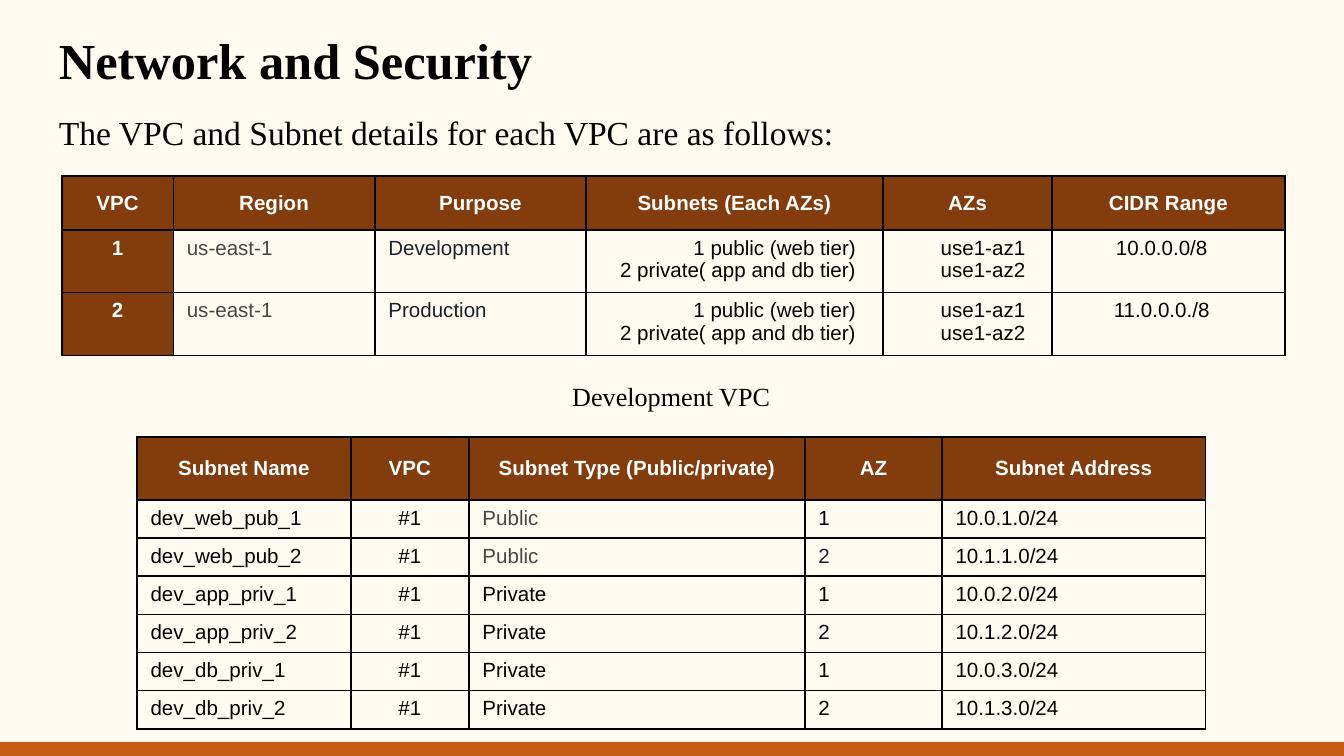
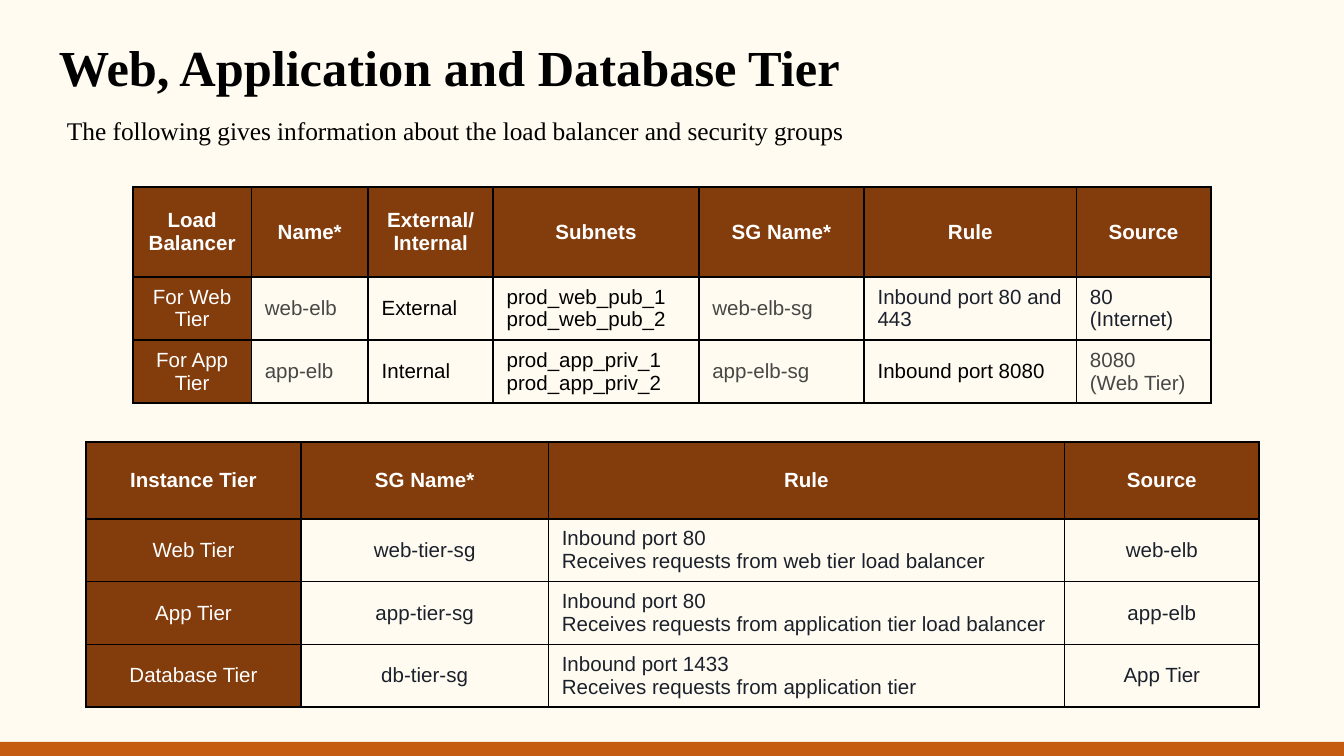
"""Build two slides that describe the network layout and the tiers of a deployment."""

from dataclasses import dataclass
from typing import NamedTuple

from lxml.etree import SubElement
from pptx import Presentation
from pptx.dml.color import RGBColor
from pptx.enum.shapes import MSO_SHAPE
from pptx.enum.text import MSO_ANCHOR, PP_ALIGN
from pptx.oxml import parse_xml
from pptx.oxml.ns import nsdecls, qn
from pptx.util import Emu, Pt

EMU_PER_PX = 9144
SLIDE_WIDTH = 1000
BAND_TOP, BAND_HEIGHT = 552, 11
TEXT_INSET = 10
CELL_INSET_X, CELL_INSET_Y = 10, 5
BORDER_POINTS = 1
CELL_POINTS = 11

CREAM, BROWN, ORANGE = "FFFBF0", "833C0B", "C55A11"
BLACK, WHITE, GRAY, NAVY = "000000", "FFFFFF", "474746", "1B212C"
TITLE_FONT, CELL_FONT = "Times New Roman", "Arial"
LEFT, CENTER, RIGHT = PP_ALIGN.LEFT, PP_ALIGN.CENTER, PP_ALIGN.RIGHT


class Box(NamedTuple):
    """Position and size in px."""

    left: int
    top: int
    width: int
    height: int


class Tinted(NamedTuple):
    """Cell text whose colour differs from that of its column."""

    text: str
    color: str


class Column(NamedTuple):
    """Heading, width and body style of one table column."""

    heading: str
    width: int
    color: str = BLACK
    align: PP_ALIGN = LEFT
    right_inset: int = CELL_INSET_X
    fill: str | None = None
    bold: bool = False


@dataclass(frozen=True)
class TextItem:
    """A text box with one style."""

    text: str
    box: Box
    points: float
    bold: bool = False
    align: PP_ALIGN = LEFT
    line_spacing: float = 1.0
    space_after: int = 0


@dataclass(frozen=True)
class TableItem:
    """A table with a brown heading row."""

    box: Box
    columns: list[Column]
    row_heights: list[int]
    rows: list[list[str | Tinted]]
    anchor: MSO_ANCHOR = MSO_ANCHOR.TOP


def px(length: int) -> Emu:
    """Turn px into EMU."""
    return Emu(length * EMU_PER_PX)


def rgb(color: str) -> RGBColor:
    """Turn a hex string into a colour."""
    return RGBColor.from_string(color)


def title(text: str, top: int) -> TextItem:
    """Describe a slide title."""
    return TextItem(text, Box(34, top, 932, 67), 27, bold=True)


def subtitle(text: str, box: Box, points: float) -> TextItem:
    """Describe the sentence under a title."""
    return TextItem(text, box, points, line_spacing=1.15, space_after=12)


def format_runs(paragraph, font_name: str, points: float, color: str, bold: bool) -> None:
    """Give every run of a paragraph the same font."""
    for run in paragraph.runs:
        run.font.name = font_name
        run.font.size = Pt(points)
        run.font.bold = bold
        run.font.color.rgb = rgb(color)


def draw_text(slide, item: TextItem) -> None:
    """Add a text box."""
    shape = slide.shapes.add_textbox(*map(px, item.box))
    text_frame = shape.text_frame
    text_frame.word_wrap = True
    text_frame.margin_left = text_frame.margin_right = px(TEXT_INSET)
    text_frame.margin_top = text_frame.margin_bottom = px(TEXT_INSET)
    text_frame.text = item.text
    for paragraph in text_frame.paragraphs:
        paragraph.alignment = item.align
        paragraph.line_spacing = item.line_spacing
        paragraph.space_after = Pt(item.space_after)
        format_runs(paragraph, TITLE_FONT, item.points, BLACK, item.bold)


def draw_borders(cell) -> None:
    """Put a black line on each side of a cell."""
    properties = cell._tc.get_or_add_tcPr()
    for index, side in enumerate(("lnL", "lnR", "lnT", "lnB")):
        line = parse_xml(f'<a:{side} {nsdecls("a")} w="{Pt(BORDER_POINTS)}"/>')
        fill = SubElement(line, qn("a:solidFill"))
        SubElement(fill, qn("a:srgbClr"), val=BLACK)
        properties.insert(index, line)


def draw_cell(cell, text: str | Tinted, column: Column, anchor: MSO_ANCHOR) -> None:
    """Fill one cell with text in the style of its column."""
    content = text if isinstance(text, Tinted) else Tinted(text, column.color)
    cell.margin_left, cell.margin_right = px(CELL_INSET_X), px(column.right_inset)
    cell.margin_top = cell.margin_bottom = px(CELL_INSET_Y)
    cell.vertical_anchor = anchor
    if column.fill:
        cell.fill.solid()
        cell.fill.fore_color.rgb = rgb(column.fill)
    else:
        cell.fill.background()
    draw_borders(cell)
    cell.text_frame.text = content.text
    for paragraph in cell.text_frame.paragraphs:
        paragraph.alignment = column.align
        format_runs(paragraph, CELL_FONT, CELL_POINTS, content.color, column.bold)


def draw_table(slide, item: TableItem) -> None:
    """Add a table with its heading row and body rows."""
    frame = slide.shapes.add_table(
        len(item.row_heights), len(item.columns), *map(px, item.box)
    )
    table = frame.table
    table.horz_banding = False
    for row, height in zip(table.rows, item.row_heights):
        row.height = px(height)
    for index, column in enumerate(item.columns):
        table.columns[index].width = px(column.width)
        heading = Column(column.heading, column.width, WHITE, CENTER, fill=BROWN, bold=True)
        draw_cell(table.cell(0, index), column.heading, heading, MSO_ANCHOR.MIDDLE)
        for row_index, row in enumerate(item.rows, start=1):
            draw_cell(table.cell(row_index, index), row[index], column, item.anchor)
    frame.width, frame.height = px(item.box.width), px(item.box.height)


def draw_band(slide) -> None:
    """Add the orange band at the foot of a slide."""
    box = Box(0, BAND_TOP, SLIDE_WIDTH, BAND_HEIGHT)
    shape = slide.shapes.add_shape(MSO_SHAPE.RECTANGLE, *map(px, box))
    shape.shadow.inherit = False
    shape.fill.solid()
    shape.fill.fore_color.rgb = rgb(ORANGE)
    shape.line.fill.background()


SUBNETS_PER_ZONE = "1 public (web tier)\n2 private( app and db tier)"
ZONES = "use1-az1\nuse1-az2"
VPC_TABLE = TableItem(
    Box(46, 131, 909, 133),
    [
        Column("VPC", 83, WHITE, CENTER, fill=BROWN, bold=True),
        Column("Region", 150, GRAY),
        Column("Purpose", 157, NAVY),
        Column("Subnets (Each AZs)", 221, align=RIGHT, right_inset=20),
        Column("AZs", 126, align=RIGHT, right_inset=20),
        Column("CIDR Range", 173, align=CENTER, right_inset=20),
    ],
    [40] * 3,
    [
        ["1", "us-east-1", "Development", SUBNETS_PER_ZONE, ZONES, "10.0.0.0/8"],
        ["2", "us-east-1", "Production", SUBNETS_PER_ZONE, ZONES, "11.0.0.0./8"],
    ],
)
PUBLIC = Tinted("Public", GRAY)
SUBNET_TABLE = TableItem(
    Box(102, 325, 796, 217),
    [
        Column("Subnet Name", 159),
        Column("VPC", 88, align=CENTER),
        Column("Subnet Type (Public/private)", 250),
        Column("AZ", 102),
        Column("Subnet Address", 196),
    ],
    [47] + [28] * 6,
    [
        ["dev_web_pub_1", "#1", PUBLIC, "1", "10.0.1.0/24"],
        ["dev_web_pub_2", "#1", PUBLIC, Tinted("2", NAVY), "10.1.1.0/24"],
        ["dev_app_priv_1", "#1", "Private", "1", "10.0.2.0/24"],
        ["dev_app_priv_2", "#1", "Private", "2", "10.1.2.0/24"],
        ["dev_db_priv_1", "#1", "Private", "1", "10.0.3.0/24"],
        ["dev_db_priv_2", "#1", "Private", "2", "10.1.3.0/24"],
    ],
)
BALANCER_TABLE = TableItem(
    Box(99, 139, 802, 161),
    [
        Column("Load Balancer", 88, WHITE, CENTER, fill=BROWN),
        Column("Name*", 87, GRAY),
        Column("External/\nInternal", 93),
        Column("Subnets", 153),
        Column("SG Name*", 123, GRAY),
        Column("Rule", 158, NAVY),
        Column("Source", 100, NAVY),
    ],
    [67, 47, 47],
    [
        ["For Web Tier", "web-elb", "External", "prod_web_pub_1\nprod_web_pub_2",
         "web-elb-sg", "Inbound port 80 and 443", "80\n(Internet)"],
        ["For App Tier", "app-elb", "Internal", "prod_app_priv_1\nprod_app_priv_2",
         "app-elb-sg", Tinted("Inbound port 8080", BLACK), Tinted("8080\n(Web Tier)", GRAY)],
    ],
    MSO_ANCHOR.MIDDLE,
)
REQUESTS = "Receives requests from"
INSTANCE_TABLE = TableItem(
    Box(64, 329, 872, 197),
    [
        Column("Instance Tier", 160, WHITE, CENTER, fill=BROWN),
        Column("SG Name*", 184, NAVY, CENTER),
        Column("Rule", 384, NAVY),
        Column("Source", 145, NAVY, CENTER),
    ],
    [57, 33, 30, 33],
    [
        ["Web Tier", "web-tier-sg",
         f"Inbound port 80\n{REQUESTS} web tier load balancer", "web-elb"],
        ["App Tier", "app-tier-sg",
         f"Inbound port 80\n{REQUESTS} application tier load balancer", "app-elb"],
        ["Database Tier", "db-tier-sg",
         f"Inbound port 1433\n{REQUESTS} application tier", "App Tier"],
    ],
    MSO_ANCHOR.MIDDLE,
)
SLIDES: list[list[TextItem | TableItem]] = [
    [
        title("Network and Security", 12),
        VPC_TABLE,
        SUBNET_TABLE,
        TextItem("Development VPC", Box(392, 273, 215, 44), 14, align=CENTER),
        subtitle("The VPC and Subnet details for each VPC are as follows:",
                 Box(34, 69, 932, 57), 18),
    ],
    [
        title("Web, Application and Database Tier", 17),
        subtitle("The following gives information about the load balancer and security groups",
                 Box(40, 72, 611, 42), 13.6),
        BALANCER_TABLE,
        INSTANCE_TABLE,
    ],
]


def main() -> None:
    """Build and save the presentation."""
    presentation = Presentation()
    presentation.slide_width = px(SLIDE_WIDTH)
    presentation.slide_height = Emu(presentation.slide_width * 9 // 16)
    background = presentation.slide_master.background.fill
    background.solid()
    background.fore_color.rgb = rgb(CREAM)
    for items in SLIDES:
        slide = presentation.slides.add_slide(presentation.slide_layouts[6])
        draw_band(slide)
        for item in items:
            draw = draw_text if isinstance(item, TextItem) else draw_table
            draw(slide, item)
    presentation.save("out.pptx")


if __name__ == "__main__":
    main()
